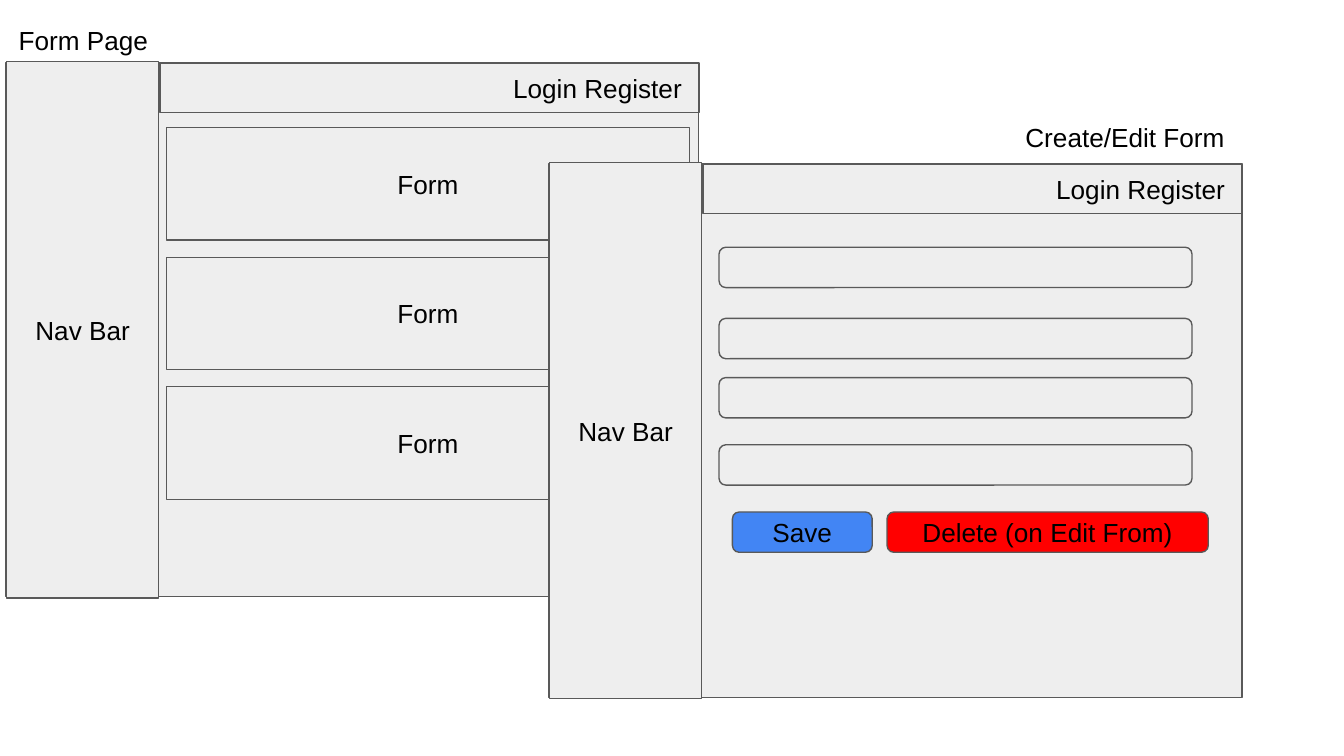
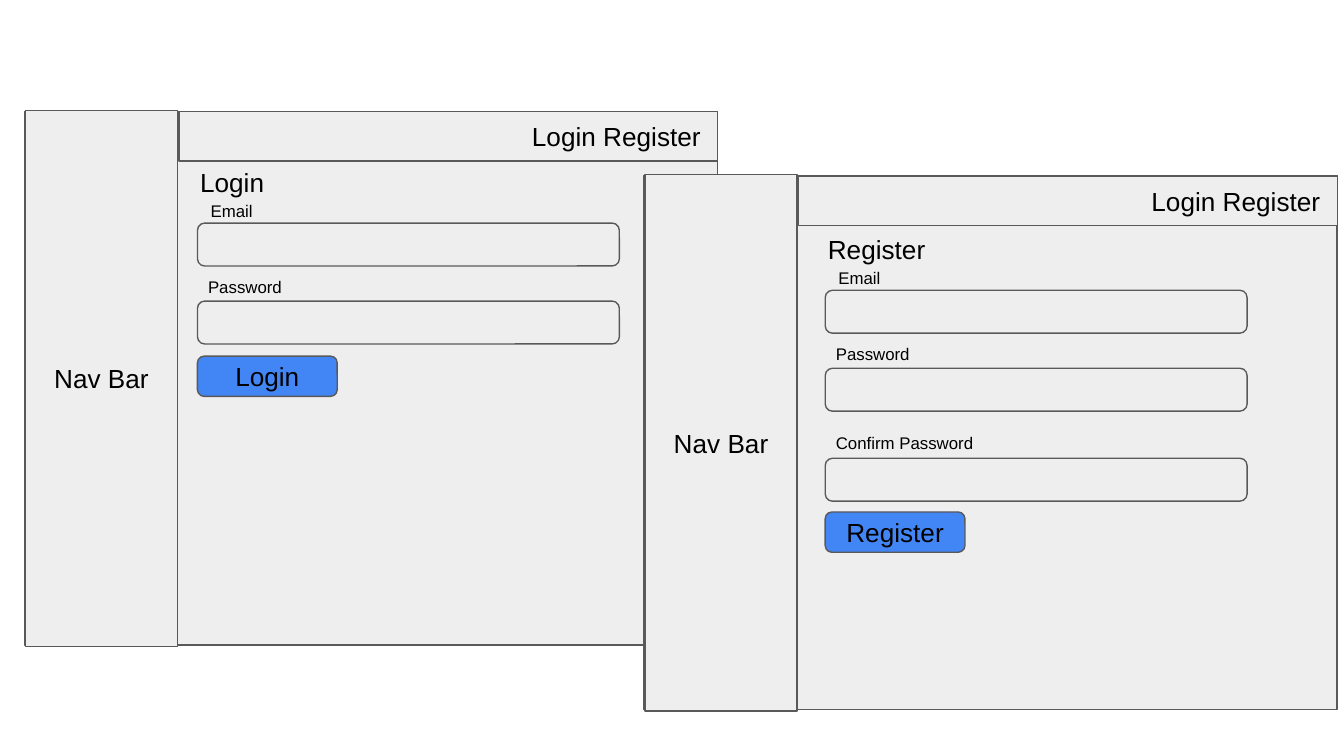
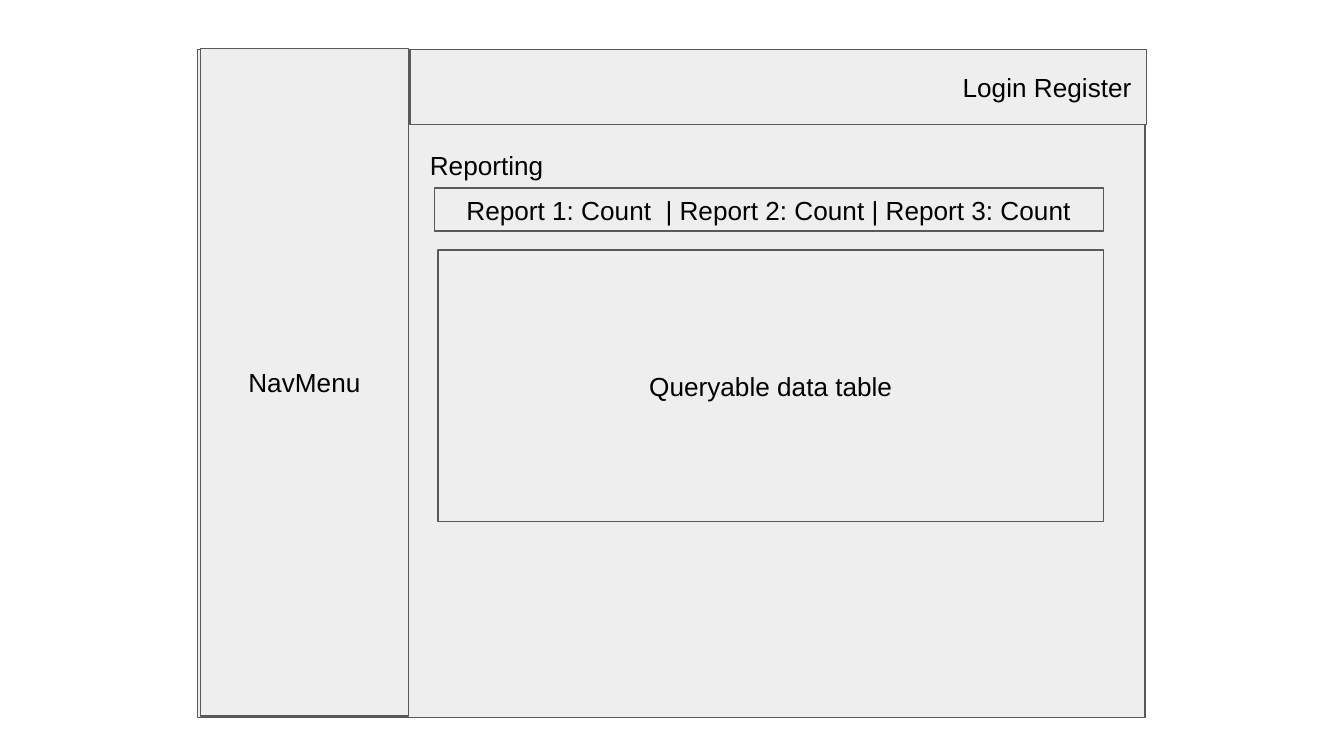
"""Build three wireframe slides: form pages, sign-in pages and a report page."""
import dataclasses
import typing

import pptx
import pptx.dml.color
import pptx.enum.shapes
import pptx.enum.text
import pptx.shapes.autoshape
import pptx.shapes.shapetree
import pptx.slide
import pptx.util

Tree = typing.Union[
    pptx.shapes.shapetree.SlideShapes, pptx.shapes.shapetree.GroupShapes
]
Kind = pptx.enum.shapes.MSO_SHAPE
Align = pptx.enum.text.PP_ALIGN
Anchor = pptx.enum.text.MSO_ANCHOR

FONT = "Arial"
INK = "000000"
GREY = "EEEEEE"
EDGE = "595959"
BLUE = "4285F4"
RED = "FF0000"
PAD = 7.2


@dataclasses.dataclass(frozen=True)
class Box:
    left: float
    top: float
    width: float
    height: float
    text: str = ""
    fill: str = GREY
    kind: Kind = Kind.RECTANGLE
    inset: float = PAD


@dataclasses.dataclass(frozen=True)
class Label:
    left: float
    top: float
    width: float
    height: float
    text: str
    size: float = 14


@dataclasses.dataclass(frozen=True)
class Entry:
    text: str
    label: float
    field: float
    shift: float = 4.3
    width: float = 64.8


@dataclasses.dataclass(frozen=True)
class Panel:
    left: float
    top: float
    text: str
    entries: tuple[Entry, ...]
    button: float


def tint(code: str) -> pptx.dml.color.RGBColor:
    return pptx.dml.color.RGBColor.from_string(code)


def place(item: Box | Label) -> list[pptx.util.Pt]:
    return [
        pptx.util.Pt(side)
        for side in (item.left, item.top, item.width, item.height)
    ]


def write(
    shape: pptx.shapes.autoshape.Shape,
    text: str,
    size: float,
    align: Align,
    anchor: Anchor,
    inset: float = PAD,
) -> None:
    frame = shape.text_frame
    frame.word_wrap = True
    frame.vertical_anchor = anchor
    frame.margin_left = pptx.util.Pt(inset)
    frame.margin_top = frame.margin_right = frame.margin_bottom = pptx.util.Pt(PAD)
    line = frame.paragraphs[0]
    line.text = text
    line.alignment = align
    line.font.name = FONT
    line.font.size = pptx.util.Pt(size)
    line.font.color.rgb = tint(INK)


def draw_box(tree: Tree, box: Box) -> None:
    shape = tree.add_shape(box.kind, *place(box))
    shape.shadow.inherit = False
    shape.fill.solid()
    shape.fill.fore_color.rgb = tint(box.fill)
    shape.line.color.rgb = tint(EDGE)
    shape.line.width = pptx.util.Pt(0.75)
    if box.text:
        write(shape, box.text, 14, Align.CENTER, Anchor.MIDDLE, box.inset)


def draw_label(tree: Tree, label: Label) -> None:
    shape = tree.add_textbox(*place(label))
    write(shape, label.text, label.size, Align.LEFT, Anchor.TOP)


def draw_field(
    tree: Tree, left: float, top: float, width: float, height: float
) -> None:
    draw_box(tree, Box(left, top, width, height, kind=Kind.ROUNDED_RECTANGLE))


def draw_button(
    tree: Tree, left: float, top: float, text: str,
    fill: str = BLUE, width: float = 74.9,
) -> None:
    kind = Kind.ROUNDED_RECTANGLE
    draw_box(tree, Box(left, top, width, 21.6, text, fill, kind))


def draw_window(slide: pptx.slide.Slide, left: float, top: float) -> Tree:
    tree = slide.shapes.add_group_shape().shapes
    draw_box(tree, Box(left, top, 371.5, 285.8))
    draw_box(tree, Box(left + 0.7, top - 0.7, 81.4, 287.3, "Nav Bar"))
    head = Box(left + 82.8, top, 288.7, 26.6, "Login Register", inset=187.2)
    draw_box(tree, head)
    return tree


def draw_panel(tree: Tree, panel: Panel) -> None:
    left = panel.left + 5.7
    for entry in panel.entries:
        draw_field(tree, left, panel.top + entry.field, 226, 23)
        draw_label(tree, Label(
            panel.left + entry.shift, panel.top + entry.label,
            entry.width, 13.7, entry.text, 9,
        ))
    draw_button(tree, left, panel.top + panel.button, panel.text)
    draw_label(tree, Label(panel.left, panel.top, 92.2, 21.6, panel.text))


def build_forms(slide: pptx.slide.Slide) -> None:
    draw_label(slide.shapes, Label(2.9, 5.8, 365.8, 41, "Form Page"))
    draw_window(slide, 2.9, 33.8)
    for row in range(3):
        draw_box(slide.shapes, Box(89.3, 68.4 + 69.4 * row, 280, 60.3, "Form"))
    draw_label(slide.shapes, Label(542.2, 57.6, 123.1, 29.5, "Create/Edit Form"))
    tree = draw_window(slide, 293.8, 87.8)
    for top in (132.5, 170.6, 202.3, 238.3):
        draw_field(tree, 385.2, top, 253.4, 21.6)
    draw_button(tree, 392.4, 274.3, "Save")
    draw_button(tree, 475.2, 274.3, "Delete (on Edit From)", RED, 172.1)


def build_access(slide: pptx.slide.Slide) -> None:
    login = (
        Entry("Email", 20.1, 37.4, shift=5.7),
        Entry("Password", 60.5, 79.2),
    )
    confirm = Entry("Confirm Password", 108, 127.4, width=120.2)
    draw_window(slide, 13, 59.8)
    draw_panel(slide.shapes, Panel(100.1, 82.1, "Login", login, 108.7))
    draw_window(slide, 344.9, 94.3)
    draw_panel(
        slide.shapes,
        Panel(436.4, 118.1, "Register", (*login, confirm), 156.2),
    )


def build_report(slide: pptx.slide.Slide) -> None:
    counts = "Report 1: Count  | Report 2: Count | Report 3: Count"
    boxes = (
        Box(105.8, 26.6, 507.6, 357.8),
        Box(107.3, 25.9, 111.6, 357.8, "NavMenu"),
        Box(219.6, 26.6, 394.6, 40.3, "Login Register", inset=295.2),
        Box(232.6, 100.8, 358.6, 23, counts),
        Box(234.7, 133.9, 356.4, 145.4, "Queryable data table"),
    )
    for box in boxes:
        draw_box(slide.shapes, box)
    draw_label(slide.shapes, Label(223.2, 72.7, 141.1, 30.2, "Reporting"))


def main() -> None:
    deck = pptx.Presentation()
    deck.slide_width = pptx.util.Pt(720)
    deck.slide_height = pptx.util.Pt(405)
    blank = deck.slide_layouts[6]
    for build in (build_forms, build_access, build_report):
        build(deck.slides.add_slide(blank))
    deck.save("out.pptx")


if __name__ == "__main__":
    main()
